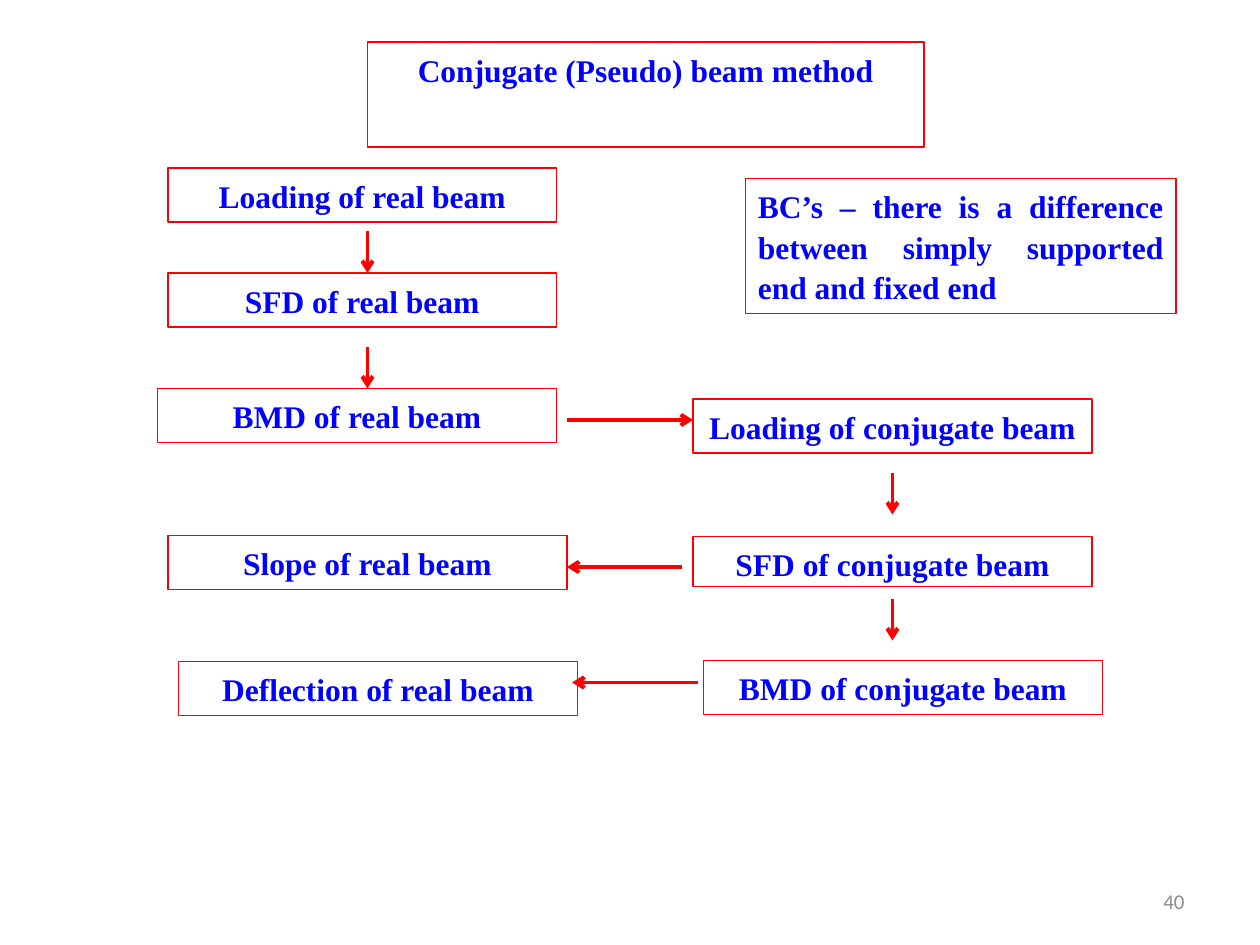
from dataclasses import dataclass
from typing import NamedTuple

from lxml.etree import SubElement
from pptx import Presentation
from pptx.dml.color import RGBColor
from pptx.enum.shapes import MSO_CONNECTOR, MSO_SHAPE
from pptx.enum.text import MSO_ANCHOR, MSO_AUTO_SIZE, PP_ALIGN
from pptx.oxml.ns import qn
from pptx.util import Inches, Pt

UNIT = Inches(1) / 12  # the grid has 120 columns and 90 rows
BOX_ROWS = 5.15


@dataclass(frozen=True)
class Theme:
    text: RGBColor = RGBColor(0x00, 0x00, 0xFF)
    line: RGBColor = RGBColor(0xFF, 0x00, 0x00)
    number: RGBColor = RGBColor(0x8C, 0x8C, 0x8C)
    font: str = "Times New Roman"
    number_font: str = "Calibri"
    text_size: Pt = Pt(18)
    number_size: Pt = Pt(12)
    border: Pt = Pt(0.75)
    arrow: Pt = Pt(2.25)


class Box(NamedTuple):
    text: str
    col: float
    row: float
    cols: float = 38
    rows: float = BOX_ROWS
    align: PP_ALIGN = PP_ALIGN.CENTER


class Arrow(NamedTuple):
    col: float
    row: float
    cols: float = 0
    rows: float = 0


THEME = Theme()

TITLE = Box("Conjugate (Pseudo) beam method", 35, 4, 53)
BOXES = [
    Box("Loading of real beam", 16, 16, 37),
    Box("SFD of real beam", 16, 26, 37),
    Box("BMD of real beam", 15, 37),
    Box("Loading of conjugate beam", 66, 38),
    Box("SFD of conjugate beam", 66, 51.1, rows=4.8),
    Box("BMD of conjugate beam", 67, 62.9),
    Box("Slope of real beam", 16, 51),
    Box("Deflection of real beam", 17, 63),
    Box("BC’s – there is a difference between simply supported end and fixed end",
        71, 17, 41, 12.85, PP_ALIGN.JUSTIFY),
]
ARROWS = [
    Arrow(35, 22, rows=4),
    Arrow(35, 33, rows=4),
    Arrow(85, 45, rows=4),
    Arrow(85, 57, rows=4),
    Arrow(54, 40, cols=12),
    Arrow(65, 54, cols=-11),
    Arrow(66.5, 65, cols=-12),
]
PAGE_NUMBER = Box("40", 86, 83.4, 28, 4.8, PP_ALIGN.RIGHT)


def grid(*steps: float) -> list[int]:
    return [round(step * UNIT) for step in steps]


def apply(target, formats: dict) -> None:
    for name, value in formats.items():
        setattr(target, name, value)


def write(s, box: Box, frame: dict, paragraph: dict, font: dict, color: RGBColor) -> None:
    """Place a shape on the grid and fill it with one formatted paragraph."""
    apply(s, dict(zip(("left", "top", "width", "height"), grid(*box[1:5]))))
    tf = s.text_frame
    apply(tf, {"word_wrap": True, **frame})
    p = tf.paragraphs[0]
    apply(p, {"alignment": box.align, **paragraph})
    r = p.add_run()
    r.text = box.text
    apply(r.font, font)
    r.font.color.rgb = color


def draw_box(s, box: Box) -> None:
    s.fill.background()
    s.line.color.rgb = THEME.line
    s.line.width = THEME.border
    write(
        s, box,
        {"auto_size": MSO_AUTO_SIZE.SHAPE_TO_FIT_TEXT, "vertical_anchor": MSO_ANCHOR.TOP},
        {"line_spacing": 1.07, "space_after": Pt(8)},
        {"name": THEME.font, "size": THEME.text_size, "bold": True},
        THEME.text,
    )


def draw_arrow(slide, arrow: Arrow) -> None:
    col, row, cols, rows = arrow
    c = slide.shapes.add_connector(
        MSO_CONNECTOR.STRAIGHT, *grid(col, row, col + cols, row + rows))
    c.line.color.rgb = THEME.line
    c.line.width = THEME.arrow
    SubElement(c.line._get_or_add_ln(), qn("a:tailEnd"), type="arrow")
    SubElement(c._element.spPr, qn("a:effectLst"))


def main() -> None:
    prs = Presentation()
    prs.slide_width, prs.slide_height = grid(120, 90)
    slide = prs.slides.add_slide(prs.slide_layouts[5])

    draw_box(slide.shapes.title, TITLE)
    for box in BOXES:
        s = slide.shapes.add_shape(MSO_SHAPE.RECTANGLE, *grid(*box[1:5]))
        s.shadow.inherit = False
        draw_box(s, box)
    for arrow in ARROWS:
        draw_arrow(slide, arrow)

    write(
        slide.shapes.add_textbox(*grid(*PAGE_NUMBER[1:5])), PAGE_NUMBER,
        {"vertical_anchor": MSO_ANCHOR.MIDDLE}, {},
        {"name": THEME.number_font, "size": THEME.number_size},
        THEME.number,
    )
    prs.save("out.pptx")


if __name__ == "__main__":
    main()
